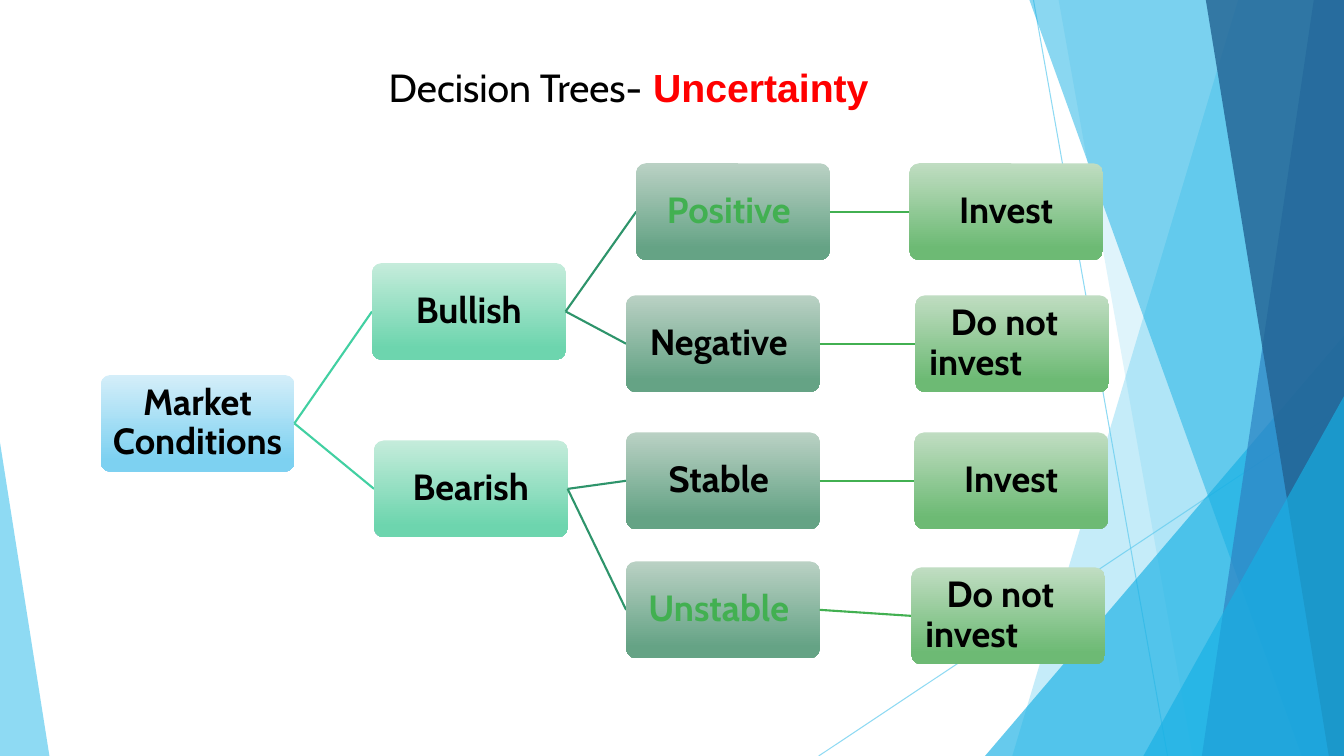
from lxml import etree
from pptx import Presentation
from pptx.dml.color import RGBColor
from pptx.enum.shapes import MSO_CONNECTOR as Connector, MSO_SHAPE as Shape
from pptx.enum.text import MSO_ANCHOR as Anchor, PP_ALIGN as Align
from pptx.oxml.ns import qn
from pptx.util import Inches, Pt

# Content: title runs, then the tree as (text, left, top, text colour, children)
BLACK, GREEN = "000000", "42B051"
TITLE = [
    (" Decision Trees-", "Cabin", False, BLACK),
    (" ", "Arial", True, "0D0D0D"),
    ("Uncertainty", "Arial", True, "FF0000"),
]
INVEST, REJECT = "Invest", "Do not invest"
TREE = ("Market Conditions", 1.0, 3.72, BLACK, [
    ("Bullish", 3.69, 2.61, BLACK, [
        ("Positive ", 6.31, 1.62, GREEN, [(INVEST, 9.02, 1.62, BLACK, [])]),
        ("Negative ", 6.21, 2.93, BLACK, [(REJECT, 9.08, 2.93, BLACK, [])]),
    ]),
    ("Bearish", 3.71, 4.37, BLACK, [
        ("Stable ", 6.21, 4.29, BLACK, [(INVEST, 9.07, 4.29, BLACK, [])]),
        ("Unstable ", 6.21, 5.57, GREEN, [(REJECT, 9.04, 5.63, BLACK, [])]),
    ]),
])
# Per tree level: gradient top, gradient bottom, branch arriving from the left
LEVELS = [
    ("D4EEF9", "7DD1F1", None),
    ("C5ECDB", "6DD5AE", "42D0A2"),
    ("BAD1C4", "65A385", "2E946B"),
    ("C0DDC2", "6DBA74", "42B051"),
]
NODE_W, NODE_H = 1.92, 0.96

# Background facets, back to front
W, H = 13.33, 7.5
SKY, CYAN, BLUE, NAVY = "5FCBEF", "17B0E4", "2E83C3", "226292"
RAYS = [(10.25, 0, 11.58, H), (W, 4.03, 8.12, H)]
# Bands reach the right edge: (top-left x, bottom-left x); triangles: (x, y, w, h, apex)
FACETS = [
    ("band", (12.28, 10.04), SKY, 36),
    ("band", (10.5, 11.83), SKY, 20),
    ("triangle", (9.77, 3.33, 3.56, 4.17, 1), CYAN, 66),
    ("band", (10.21, 12.91), CYAN, 50),
    ("band", (13.03, 11.92), BLUE, 70),
    ("band", (11.96, 13.18), NAVY, 80),
    ("triangle", (11.34, 3.93, 1.99, 3.57, 1), CYAN, 66),
    ("triangle", (0, 4.39, 0.49, 3.11, 0), SKY, 70),
]

prs = Presentation()
prs.slide_width, prs.slide_height = Inches(W), Inches(H)
shapes = prs.slides.add_slide(prs.slide_layouts[6]).shapes


def rgb(hex_color):
    return RGBColor.from_string(hex_color)


def apply_format(target, values):
    for name, value in values.items():
        setattr(target, name, value)


def set_opacity(part, percent):
    color = next(part.iter(qn("a:srgbClr")))
    etree.SubElement(color, qn("a:alpha"), val=str(percent * 1000))


def add_line(ends, color, width):
    line = shapes.add_connector(Connector.STRAIGHT, *map(Inches, ends))
    line.line.color.rgb = rgb(color)
    line.line.width = Pt(width)
    etree.SubElement(line._element.spPr, qn("a:effectLst"))
    return line


def add_run(paragraph, text, font, size, bold, color):
    run = paragraph.add_run()
    run.text = text
    apply_format(run.font, {"name": font, "size": Pt(size), "bold": bold})
    run.font.color.rgb = rgb(color)


def add_facet(kind, geometry, color, opacity):
    if kind == "band":
        top_x, bottom_x = geometry
        corners = [(Inches(x), Inches(y)) for x, y in
                   [(top_x, 0), (W, 0), (W, H), (bottom_x, H)]]
        outline = shapes.build_freeform(*corners[0])
        outline.add_line_segments(corners[1:], close=True)
        facet = outline.convert_to_shape()
    else:
        *box, apex = geometry
        facet = shapes.add_shape(Shape.ISOSCELES_TRIANGLE, *map(Inches, box))
        facet.adjustments[0] = apex
    facet.shadow.inherit = False
    facet.fill.solid()
    facet.fill.fore_color.rgb = rgb(color)
    facet.line.fill.background()
    set_opacity(facet._element.spPr, opacity)


def add_node(node, level=0):
    text, left, top, color, children = node
    light, dark, _ = LEVELS[level]
    box = shapes.add_shape(Shape.ROUNDED_RECTANGLE,
                           *map(Inches, (left, top, NODE_W, NODE_H)))
    box.adjustments[0] = 0.1
    box.shadow.inherit = False
    box.line.fill.background()
    box.fill.gradient()
    box.fill.gradient_angle = 270
    for stop, shade, position in zip(box.fill.gradient_stops, (light, dark), (0, 0.88)):
        stop.color.rgb = rgb(shade)
        stop.position = position

    frame = box.text_frame
    apply_format(frame, {"word_wrap": True, "vertical_anchor": Anchor.MIDDLE,
                         **{f"margin_{side}": Inches(0.02)
                            for side in ("left", "right", "top", "bottom")}})
    label = frame.paragraphs[0]
    apply_format(label, {"alignment": Align.CENTER, "line_spacing": 0.9})
    if text == REJECT:
        # First line is indented further than the second
        label.alignment = Align.LEFT
        apply_indent = label._p.get_or_add_pPr()
        apply_indent.set("marL", str(Inches(0.09)))
        apply_indent.set("indent", str(Inches(0.21)))
    add_run(label, text, "Cabin", 26, True, color)

    # Branches run from the right middle to each child's left middle
    for child in children:
        ends = (left + NODE_W, top + NODE_H / 2, child[1], child[2] + NODE_H / 2)
        add_line(ends, LEVELS[level + 1][2], 1.5)
        add_node(child, level + 1)


# Background
for ray in RAYS:
    set_opacity(add_line(ray, SKY, 0.75)._element.spPr, 70)
for facet_row in FACETS:
    add_facet(*facet_row)

# Decision tree
add_node(TREE)

# Title
title = shapes.add_textbox(*map(Inches, (3.67, 0.58, 6.67, 0.57))).text_frame
title.word_wrap = True
for text, font, bold, color in TITLE:
    add_run(title.paragraphs[0], text, font, 28, bold, color)

prs.save("out.pptx")
